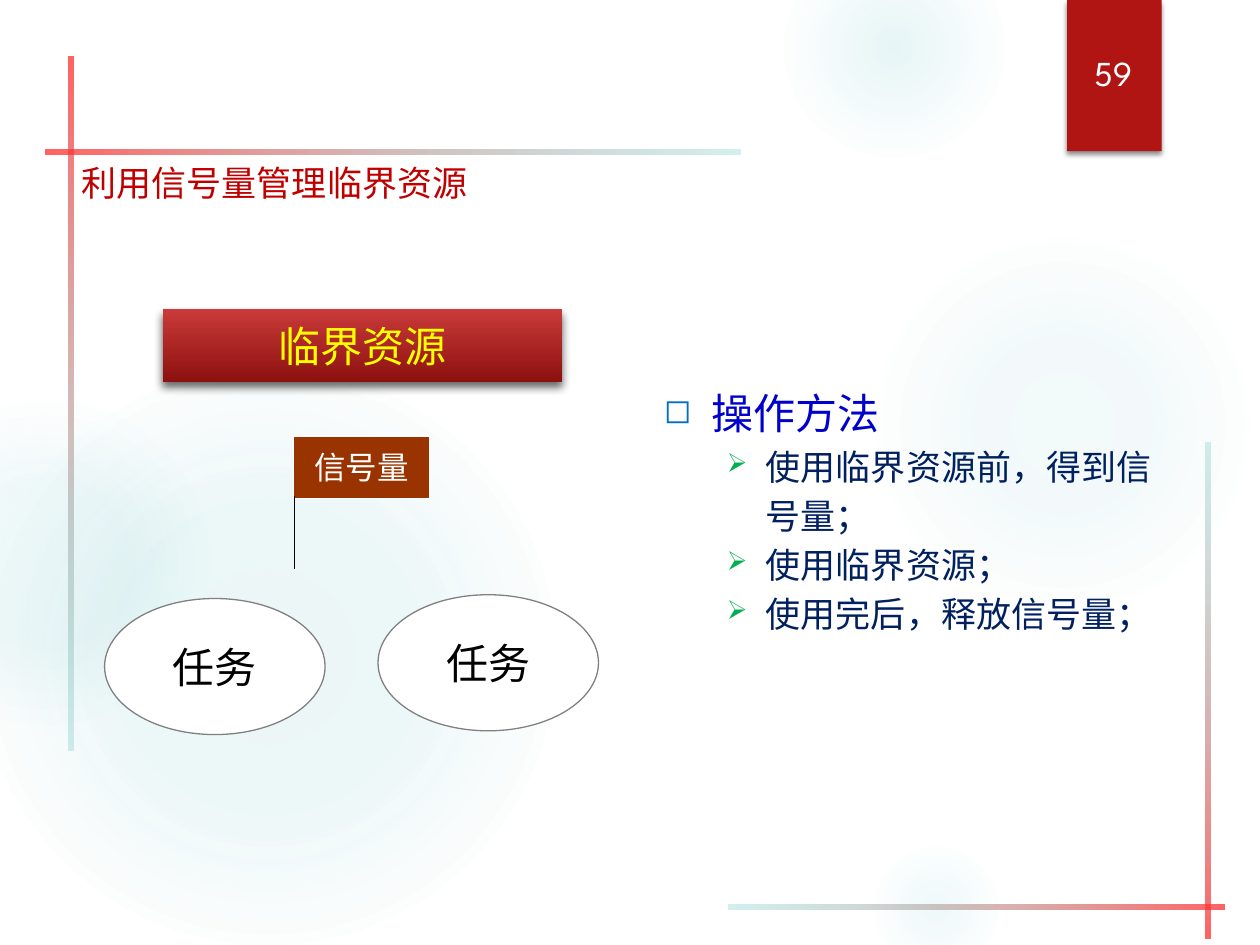
from dataclasses import dataclass
from typing import Any, Optional

import pptx
import pptx.dml.color
import pptx.enum.shapes
import pptx.enum.text
import pptx.oxml
import pptx.oxml.ns
import pptx.util

Inches = pptx.util.Inches
Pt = pptx.util.Pt
ShapeKind = pptx.enum.shapes.MSO_SHAPE
Align = pptx.enum.text.PP_ALIGN
Anchor = pptx.enum.text.MSO_ANCHOR
qn = pptx.oxml.ns.qn
NAMESPACE = pptx.oxml.ns.nsdecls("a")


@dataclass(frozen=True)
class Theme:
    red: str = "B01513"
    title: str = "C00000"
    glow: str = "50B9C1"
    bar_start: str = "FF3131"
    bar_end: str = "58C1BA"
    resource_top: str = "C93B3A"
    resource_bottom: str = "8D110F"
    yellow: str = "FFFF00"
    brown: str = "993300"
    white: str = "FFFFFF"
    black: str = "000000"
    grey: str = "808080"
    heading: str = "0000CC"
    step: str = "002060"
    heading_bullet: str = "0070C0"
    step_bullet: str = "00B050"
    large: int = 24
    medium: int = 20
    small: int = 18
    leading: int = 28
    title_font: str = "Arial"
    body_font: str = "League Spartan"
    diagram_font: str = "Times New Roman"


THEME = Theme()


@dataclass(frozen=True)
class Box:
    left: float
    top: float
    width: float
    height: float

    def lengths(self) -> list:
        return [Inches(n) for n in (self.left, self.top, self.width, self.height)]


@dataclass(frozen=True)
class Stop:
    position: int
    color: str
    opacity: int = 100


@dataclass(frozen=True)
class Glow:
    left: float
    top: float
    size: float
    opacities: tuple
    edge: int


@dataclass(frozen=True)
class Bar:
    center_x: float
    center_y: float
    length: float
    rotation: int


@dataclass(frozen=True)
class Label:
    text: str
    size: int
    color: str
    font: str = THEME.diagram_font


@dataclass(frozen=True)
class Bullet:
    label: Label
    level: int
    symbol: str
    color: str
    percent: int
    margin: float
    hanging: float


GLOWS = (
    Glow(6.89, 1.83, 3.08, (7, 6), 69),
    Glow(6.22, -0.5, 1.75, (14, 7), 73),
    Glow(6.89, 6.67, 1.08, (9, 5), 66),
    Glow(-0.17, 2.92, 4.58, (11, 10), 75),
    Glow(-0.92, 3.17, 2.58, (8, 8), 72),
)
BARS = (
    Bar(0.56, 3.2, 5.51, 90),
    Bar(7.75, 7.2, 3.94, 180),
    Bar(3.12, 1.21, 5.51, 0),
    Bar(9.59, 5.48, 3.94, 270),
)
BAR_THICKNESS = 0.04
TASKS = (Box(0.83, 4.75, 1.75, 1.08), Box(3, 4.72, 1.75, 1.08))
HEADING = "操作方法"
STEPS = ("使用临界资源前，得到信号量；", "使用临界资源；", "使用完后，释放信号量；")


def rgb(color: str) -> Any:
    return pptx.dml.color.RGBColor.from_string(color)


def set_values(target: Any, values: dict) -> None:
    for name, value in values.items():
        setattr(target, name, value)


def color_xml(color: str, opacity: int) -> str:
    return f'<a:srgbClr val="{color}"><a:alpha val="{opacity * 1000}"/></a:srgbClr>'


def fill_gradient(shape: Any, stops: list, angle: Optional[int]) -> None:
    """Fill along an angle, or outwards from the centre when it is None."""
    if angle is None:
        direction = ('<a:path path="circle"><a:fillToRect l="50000" t="50000" '
                     'r="50000" b="50000"/></a:path>')
    else:
        direction = f'<a:lin ang="{angle * 60000}" scaled="0"/>'
    stop_xml = "".join(f'<a:gs pos="{stop.position * 1000}">'
                       f'{color_xml(stop.color, stop.opacity)}</a:gs>' for stop in stops)
    gradient = pptx.oxml.parse_xml(f'<a:gradFill {NAMESPACE} rotWithShape="1">'
                                   f'<a:gsLst>{stop_xml}</a:gsLst>{direction}</a:gradFill>')
    shape.fill.background()
    properties = shape._element.spPr
    properties.replace(properties.find(qn("a:noFill")), gradient)


def add_shadow(shape: Any, opacity: int, blur: int, distance: int) -> None:
    effects = shape._element.spPr.find(qn("a:effectLst"))
    effects.append(pptx.oxml.parse_xml(
        f'<a:outerShdw {NAMESPACE} blurRad="{Pt(blur)}" dist="{Pt(distance)}" '
        f'dir="5400000" rotWithShape="0">{color_xml(THEME.black, opacity)}</a:outerShdw>'))


def write_label(paragraph: Any, label: Label) -> None:
    run = paragraph.add_run()
    run.text = label.text
    set_values(run.font, {"size": Pt(label.size), "name": label.font})
    run.font.color.rgb = rgb(label.color)


def add_shape(slide: Any, kind: Any, box: Box, fill: Optional[str] = None,
              outline: Optional[str] = None, label: Optional[Label] = None) -> Any:
    shape = slide.shapes.add_shape(kind, *box.lengths())
    shape.shadow.inherit = False
    if fill:
        shape.fill.solid()
        shape.fill.fore_color.rgb = rgb(fill)
    if outline:
        shape.line.color.rgb = rgb(outline)
        shape.line.width = Pt(0.75)
    else:
        shape.line.fill.background()
    if label:
        set_values(shape.text_frame, {"word_wrap": False, "vertical_anchor": Anchor.MIDDLE})
        paragraph = shape.text_frame.paragraphs[0]
        paragraph.alignment = Align.CENTER
        write_label(paragraph, label)
    return shape


def add_text_frame(slide: Any, box: Box, anchor: Any = Anchor.TOP) -> Any:
    frame = slide.shapes.add_textbox(*box.lengths()).text_frame
    set_values(frame, {"word_wrap": True, "vertical_anchor": anchor})
    return frame


def add_glow(slide: Any, glow: Glow) -> None:
    shape = add_shape(slide, ShapeKind.OVAL, Box(glow.left, glow.top, glow.size, glow.size))
    stops = zip((0, 36, glow.edge), (*glow.opacities, 0))
    fill_gradient(shape, [Stop(place, THEME.glow, opacity) for place, opacity in stops], None)


def add_bar(slide: Any, bar: Bar) -> None:
    box = Box(bar.center_x - bar.length / 2, bar.center_y - BAR_THICKNESS / 2,
              bar.length, BAR_THICKNESS)
    shape = add_shape(slide, ShapeKind.RECTANGLE, box)
    shape.rotation = bar.rotation
    fill_gradient(shape, [Stop(0, THEME.bar_start, 76), Stop(100, THEME.bar_end, 26)], 0)


def add_pole(slide: Any, x: float, top: float, bottom: float) -> None:
    pole = slide.shapes.add_connector(pptx.enum.shapes.MSO_CONNECTOR.STRAIGHT,
                                      Inches(x), Inches(top), Inches(x), Inches(bottom))
    pole.line.color.rgb = rgb(THEME.black)
    pole.line.width = Pt(0.75)
    pole._element.spPr.append(pptx.oxml.parse_xml(f"<a:effectLst {NAMESPACE}/>"))


def write_bullet(paragraph: Any, bullet: Bullet) -> None:
    set_values(paragraph, {"level": bullet.level, "line_spacing": Pt(THEME.leading)})
    properties = paragraph._p.get_or_add_pPr()
    properties.set("marL", str(Inches(bullet.margin)))
    properties.set("indent", str(-Inches(bullet.hanging)))
    for xml in (f'<a:buClr {NAMESPACE}><a:srgbClr val="{bullet.color}"/></a:buClr>',
                f'<a:buSzPct {NAMESPACE} val="{bullet.percent * 1000}"/>',
                f'<a:buChar {NAMESPACE} char="{bullet.symbol}"/>'):
        properties.append(pptx.oxml.parse_xml(xml))
    write_label(paragraph, bullet.label)


def add_method(slide: Any) -> None:
    heading = Label(HEADING, THEME.large, THEME.heading, THEME.body_font)
    bullets = [Bullet(heading, 0, "◻", THEME.heading_bullet, 80, 0.38, 0.38)]
    for step in STEPS:
        label = Label(step, THEME.medium, THEME.step, THEME.body_font)
        bullets.append(Bullet(label, 1, "➢", THEME.step_bullet, 75, 0.81, 0.31))
    frame = add_text_frame(slide, Box(5.17, 3.04, 4.33, 2.46))
    for index, bullet in enumerate(bullets):
        write_bullet(frame.add_paragraph() if index else frame.paragraphs[0], bullet)


def add_diagram(slide: Any) -> None:
    for box in TASKS:
        add_shape(slide, ShapeKind.OVAL, box, THEME.white, THEME.grey,
                  Label("任务", THEME.large, THEME.black))
    add_shape(slide, ShapeKind.RECTANGLE, Box(2.33, 3.46, 1.08, 0.5), THEME.brown,
              THEME.white, Label("信号量", THEME.small, THEME.white))
    add_pole(slide, 2.34, 3.94, 4.52)
    resource = add_shape(slide, ShapeKind.RECTANGLE, Box(1.29, 2.45, 3.17, 0.58),
                         label=Label("临界资源", THEME.large, THEME.yellow))
    fill_gradient(resource, [Stop(0, THEME.resource_top), Stop(100, THEME.resource_bottom)], 90)
    add_shadow(resource, 60, 5, 3)


def main() -> None:
    presentation = pptx.Presentation()
    set_values(presentation, {"slide_width": Inches(10), "slide_height": Inches(7.5)})
    slide = presentation.slides.add_slide(presentation.slide_layouts[6])
    for glow in GLOWS:
        add_glow(slide, glow)
    ribbon = add_shape(slide, ShapeKind.RECTANGLE, Box(8.47, 0, 0.75, 1.2), THEME.red)
    add_shadow(ribbon, 45, 3, 2)
    for bar in BARS:
        add_bar(slide, bar)
    number = add_text_frame(slide, Box(8.49, 0.32, 0.69, 0.47), Anchor.BOTTOM).paragraphs[0]
    number.alignment = Align.CENTER
    write_label(number, Label("59", THEME.medium, THEME.white, THEME.body_font))
    title = add_text_frame(slide, Box(0.55, 1.23, 9, 0.75)).paragraphs[0]
    write_label(title, Label("利用信号量管理临界资源", THEME.medium, THEME.title, THEME.title_font))
    add_diagram(slide)
    add_method(slide)
    presentation.save("out.pptx")


if __name__ == "__main__":
    main()
